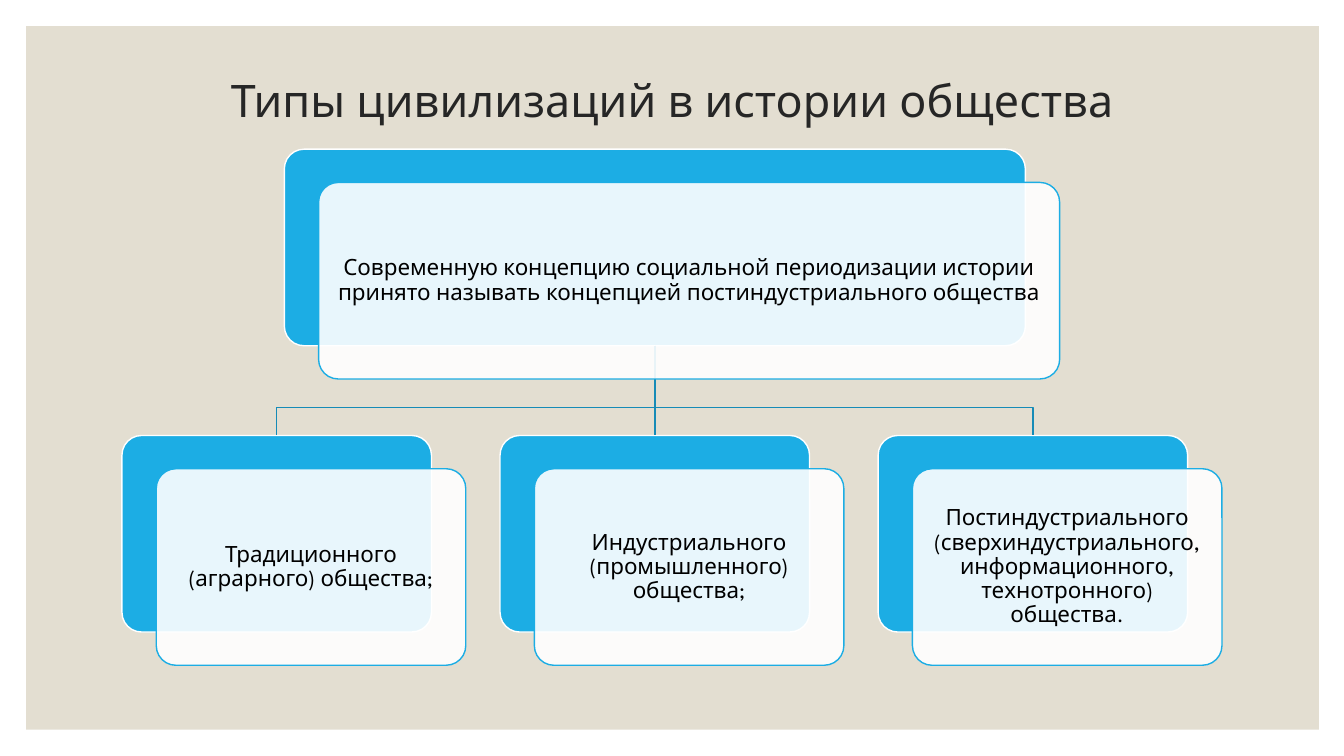
from lxml import etree
from pptx import Presentation
from pptx.dml.color import RGBColor
from pptx.enum import shapes, text
from pptx.oxml.ns import qn
from pptx.util import Inches, Pt

FONT = "League Spartan"
WHITE = RGBColor(0xFF, 0xFF, 0xFF)
BLACK = RGBColor(0x00, 0x00, 0x00)
SAND = RGBColor(0xE3, 0xDE, 0xD1)
CHARCOAL = RGBColor(0x26, 0x26, 0x26)
BLUE = RGBColor(0x1C, 0xAD, 0xE4)
DARK_BLUE = RGBColor(0x16, 0x8B, 0xB7)

CARD_HEIGHT = 1.95
PARENT_LEFT, PARENT_TOP, PARENT_WIDTH = 2.82, 1.48, 7.35
CHILD_LEFT, CHILD_TOP, CHILD_WIDTH = 1.21, 4.32, 3.07
CHILD_STEP = 3.75
FRONT_OFFSET_X, FRONT_OFFSET_Y = 0.34, 0.33
BRANCH_TOP = PARENT_TOP + CARD_HEIGHT
BRANCH_BEND = 4.04
CENTER = PARENT_LEFT + PARENT_WIDTH / 2

PARENT_TEXT = (
    "Современную концепцию социальной периодизации истории "
    "принято называть концепцией постиндустриального общества"
)
CHILD_TEXTS = [
    "Традиционного (аграрного) общества;",
    "Индустриального (промышленного) общества;",
    "Постиндустриального (сверхиндустриального, информационного, "
    "технотронного) общества.",
]


def write_text(shape, content, size, color, margin):
    frame = shape.text_frame
    frame.word_wrap = True
    frame.vertical_anchor = text.MSO_ANCHOR.MIDDLE
    frame.margin_left = frame.margin_right = Inches(margin)
    frame.margin_top = frame.margin_bottom = Inches(margin)
    paragraph = frame.paragraphs[0]
    paragraph.alignment = text.PP_ALIGN.CENTER
    paragraph.line_spacing = 0.9
    run = paragraph.add_run()
    run.text = content
    run.font.name = FONT
    run.font.size = Pt(size)
    run.font.color.rgb = color


def add_card(left, top, width, fill, line):
    card = slide.shapes.add_shape(
        shapes.MSO_SHAPE.ROUNDED_RECTANGLE,
        Inches(left), Inches(top), Inches(width), Inches(CARD_HEIGHT),
    )
    card.adjustments[0] = 0.1
    card.shadow.inherit = False
    card.fill.solid()
    card.fill.fore_color.rgb = fill
    card.line.color.rgb = line
    card.line.width = Pt(1)
    return card


presentation = Presentation()
presentation.slide_width = Inches(13.33)
presentation.slide_height = Inches(7.5)
slide = presentation.slides.add_slide(presentation.slide_layouts[6])

panel = slide.shapes.add_shape(
    shapes.MSO_SHAPE.RECTANGLE, Inches(0.26), Inches(0.26), Inches(12.82), Inches(6.98)
)
panel.shadow.inherit = False
panel.fill.solid()
panel.fill.fore_color.rgb = SAND
panel.line.fill.background()

title = slide.shapes.add_textbox(Inches(1.17), Inches(0.7), Inches(11), Inches(0.65))
write_text(title, "Типы цивилизаций в истории общества", size=32, color=CHARCOAL, margin=0.05)

cards = [(PARENT_LEFT, PARENT_TOP, PARENT_WIDTH, PARENT_TEXT)]
for index, child_text in enumerate(CHILD_TEXTS):
    cards.append((CHILD_LEFT + index * CHILD_STEP, CHILD_TOP, CHILD_WIDTH, child_text))

backs = [add_card(left, top, width, BLUE, WHITE) for left, top, width, _ in cards]

for side in (1, -1):
    branch_x = CENTER + side * CHILD_STEP
    builder = slide.shapes.build_freeform(Inches(CENTER), Inches(BRANCH_TOP))
    builder.add_line_segments(
        [
            (Inches(CENTER), Inches(BRANCH_BEND)),
            (Inches(branch_x), Inches(BRANCH_BEND)),
            (Inches(branch_x), Inches(CHILD_TOP)),
        ],
        close=False,
    )
    branch = builder.convert_to_shape()
    branch.shadow.inherit = False
    branch.fill.background()
    branch.line.color.rgb = DARK_BLUE
    branch.line.width = Pt(1)

trunk = slide.shapes.add_connector(
    shapes.MSO_CONNECTOR.STRAIGHT,
    Inches(CENTER), Inches(BRANCH_TOP), Inches(CENTER), Inches(CHILD_TOP),
)
trunk.begin_connect(backs[0], 2)
trunk.end_connect(backs[2], 0)
trunk.line.color.rgb = DARK_BLUE
trunk.line.width = Pt(1)
etree.SubElement(trunk._element.spPr, qn("a:effectLst"))

for left, top, width, content in cards:
    front = add_card(left + FRONT_OFFSET_X, top + FRONT_OFFSET_Y, width, WHITE, BLUE)
    fill_color = front._element.spPr.find(qn("a:solidFill")).find(qn("a:srgbClr"))
    etree.SubElement(fill_color, qn("a:alpha"), val="90000")
    write_text(front, content, size=16, color=BLACK, margin=0.07)

presentation.save("out.pptx")
